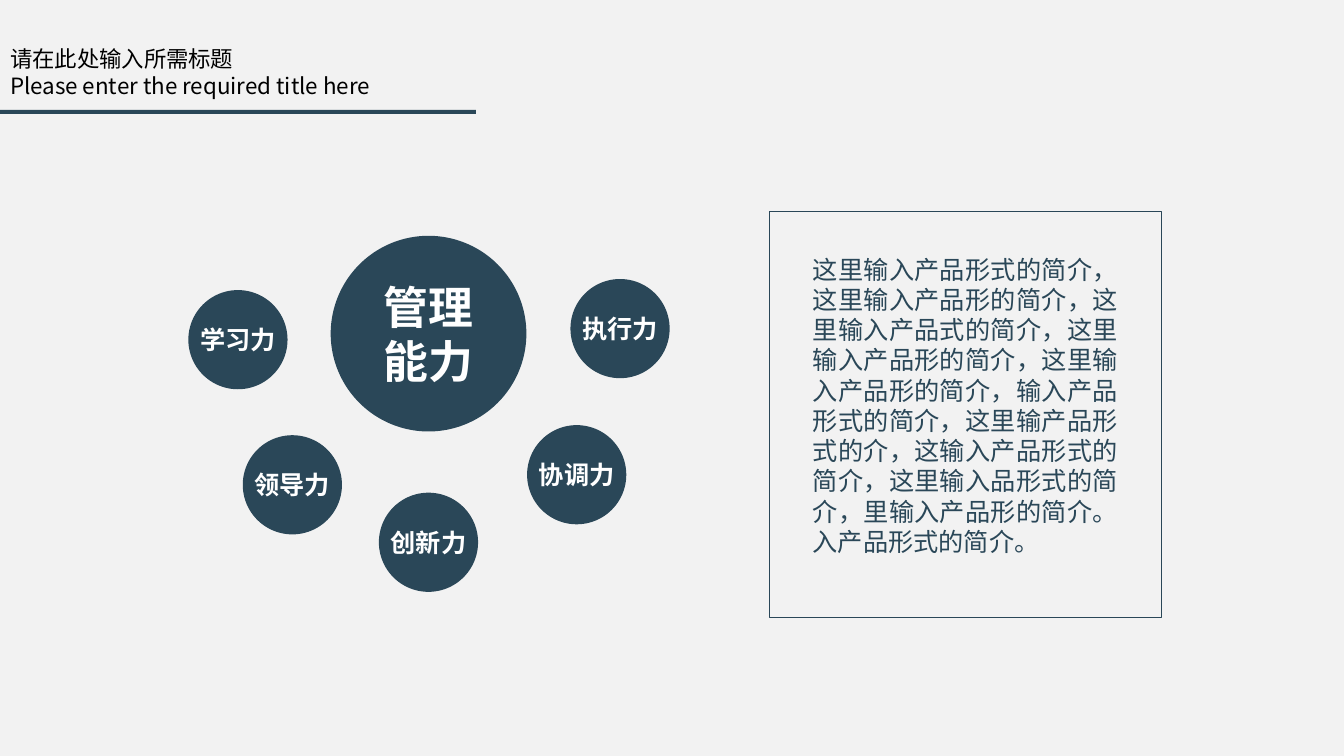
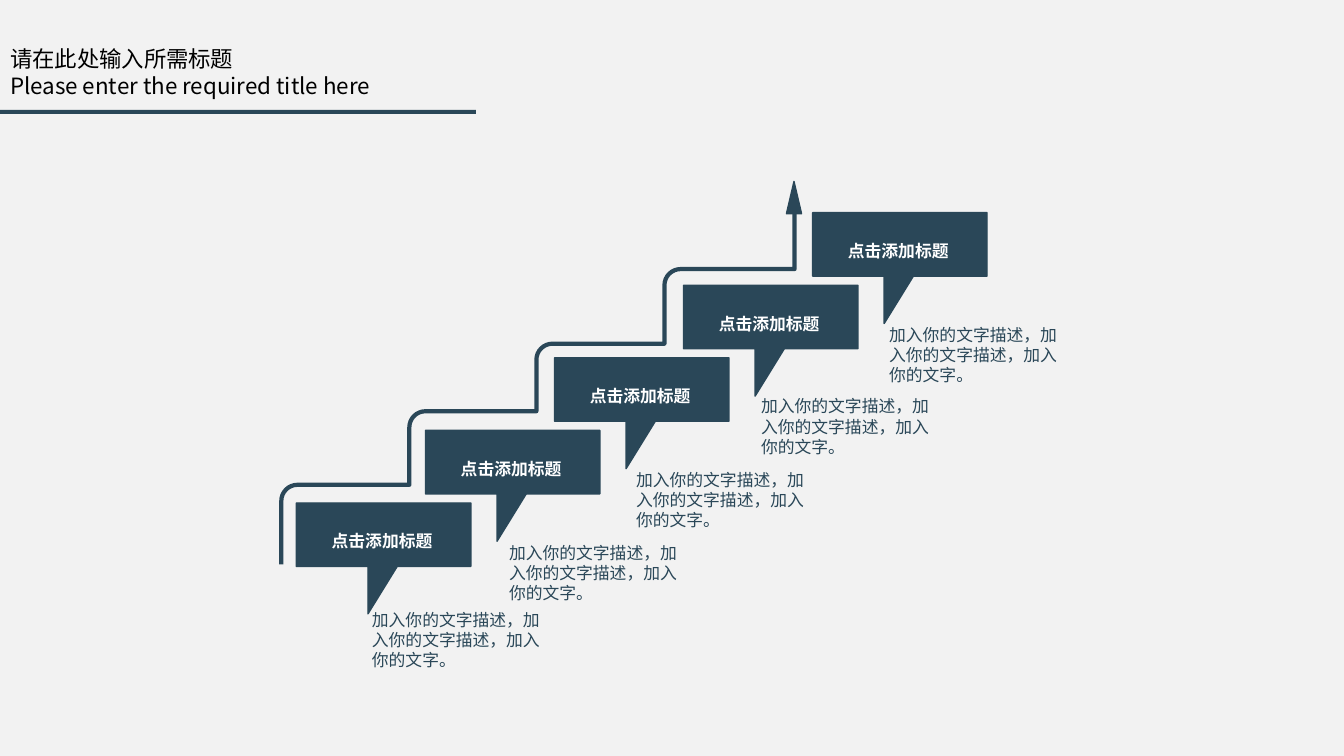
from dataclasses import dataclass
from math import cos, pi, sin

from lxml.etree import SubElement
from pptx import Presentation
from pptx.dml.color import RGBColor
from pptx.enum.shapes import MSO_SHAPE as SHAPE
from pptx.enum.text import MSO_ANCHOR as ANCHOR, MSO_AUTO_SIZE as FIT, PP_ALIGN as ALIGN
from pptx.oxml.ns import qn
from pptx.util import Inches, Pt


@dataclass(frozen=True)
class Theme:
    font: str = "Noto Sans CJK SC"
    back: RGBColor = RGBColor(0xF2, 0xF2, 0xF2)
    navy: RGBColor = RGBColor(0x2A, 0x47, 0x58)
    white: RGBColor = RGBColor(0xFF, 0xFF, 0xFF)
    black: RGBColor = RGBColor(0, 0, 0)
    hub: int = 32
    body: int = 18
    title: int = 16
    small: int = 12


T = Theme()

TITLE = ["请在此处输入所需标题", "Please enter the required title here"]

HUB = ("管理能力", 4.25, 3.31, 1.92)  # text, centre x, centre y, diameter
SKILL_SIZE = 0.97
SKILLS = [
    ("执行力", 6.15, 3.26),
    ("协调力", 5.72, 4.71),
    ("创新力", 4.25, 5.38),
    ("领导力", 2.9, 4.81),
    ("学习力", 2.36, 3.37),
]
INTRO = (
    "这里输入产品形式的简介，这里输入产品形的简介，这里输入产品式的简介，"
    "这里输入产品形的简介，这里输入产品形的简介，输入产品形式的简介，"
    "这里输产品形式的介，这输入产品形式的简介，这里输入品形式的简介，"
    "里输入产品形的简介。入产品形式的简介。"
)

STEP_TITLE = "点击添加标题"
STEP_TEXT = "加入你的文字描述，加入你的文字描述，加入你的文字。"
STEP_TOP_LEFT = (8.06, 2.11)  # highest callout
STEP_SHIFT = (-1.28, 0.72)
STEP_TEXT_AT = [(8.72, 3.22), (7.45, 3.93), (6.21, 4.66), (4.95, 5.38), (3.59, 6.05)]
CALLOUT = [(0, 0), (1.73, 0), (1.73, 0.63), (1, 0.63), (0.71, 1.1), (0.71, 0.63), (0, 0.63)]

STAIR_START = (2.79, 5.6)
STAIR_CORNERS = [(2.79, 4.81), (4.06, 4.08), (5.32, 3.41), (6.59, 2.67)]
STAIR_END = (7.88, 2)
STAIR_RADIUS = 0.16


def write(tf, lines, size, color, bold=False, align=ALIGN.LEFT, anchor=ANCHOR.TOP,
          insets=(0, 0, 0, 0), wrap=True):
    """Fill a text frame, one paragraph a line; insets are left, top, right, bottom."""
    tf.auto_size, tf.word_wrap, tf.vertical_anchor = FIT.NONE, wrap, anchor
    (tf.margin_left, tf.margin_top,
     tf.margin_right, tf.margin_bottom) = (Inches(v) for v in insets)
    for i, line in enumerate(lines):
        p = tf.add_paragraph() if i else tf.paragraphs[0]
        p.alignment, p.line_spacing = align, 1.0
        p.space_before = p.space_after = Pt(0)
        r = p.add_run()
        r.text = line
        f = r.font
        f.name, f.size, f.bold, f.color.rgb = T.font, Pt(size), bold, color
        SubElement(f._element, qn("a:ea"), typeface=T.font)


def paint(sp, fill=T.navy, line=1):
    sp.shadow.inherit = False
    if fill is None:
        sp.fill.background()
    else:
        sp.fill.solid()
        sp.fill.fore_color.rgb = fill
    if line:
        sp.line.color.rgb, sp.line.width = T.navy, Pt(line)
    else:
        sp.line.fill.background()
    return sp


def add_shape(s, kind, x, y, w, h, **style):
    box = (Inches(v) for v in (x, y, w, h))
    return paint(s.shapes.add_shape(kind, *box), **style)


def add_outline(s, points, close, **style):
    pts = [(Inches(x), Inches(y)) for x, y in points]
    fb = s.shapes.build_freeform(*pts[0])
    fb.add_line_segments(pts[1:], close=close)
    return paint(fb.convert_to_shape(), **style)


def add_circle(s, text, cx, cy, d, size, line, **layout):
    sp = add_shape(s, SHAPE.OVAL, cx - d / 2, cy - d / 2, d, d, line=line)
    write(sp.text_frame, [text], size, T.white, bold=True,
          align=ALIGN.CENTER, anchor=ANCHOR.MIDDLE, **layout)


def new_slide(prs):
    s = prs.slides.add_slide(prs.slide_layouts[5])
    title = s.shapes.title
    title.left, title.top = Inches(0), Inches(0.4)
    title.width, title.height = Inches(4.33), Inches(0.63)
    write(title.text_frame, TITLE, T.title, T.black, insets=(0.1, 0.05, 0.1, 0.05))
    add_shape(s, SHAPE.RECTANGLE, 0, 1.09, 4.72, 0.04, line=0)
    return s


def skills_slide(prs):
    s = new_slide(prs)
    add_circle(s, *HUB, size=T.hub, line=1.5, insets=(0.1, 0, 0.1, 0))
    for skill in SKILLS:
        add_circle(s, *skill, SKILL_SIZE, size=T.body, line=1, wrap=False)
    frame = add_shape(s, SHAPE.RECTANGLE, 7.63, 2.1, 3.89, 4.03, fill=None, line=0.75)
    write(frame.text_frame, [INTRO], T.body, T.navy, align=ALIGN.JUSTIFY,
          insets=(0.43, 0.42, 0.43, 0.1))


def stair_points():
    """Risers and treads, each outer corner rounded by a quarter circle."""
    points, r, parts = [STAIR_START], STAIR_RADIUS, 8
    nexts = STAIR_CORNERS[1:] + [STAIR_END]
    for (x, y), (next_x, _) in zip(STAIR_CORNERS, nexts):
        for i in range(parts + 1):
            a = pi / 2 * i / parts
            points.append((x + r - r * cos(a), y + r - r * sin(a)))
        points.append((next_x, y))
    return points + [STAIR_END]


def steps_slide(prs):
    s = new_slide(prs)
    add_outline(s, stair_points(), False, fill=None, line=3)
    add_shape(s, SHAPE.ISOSCELES_TRIANGLE, 7.8, 1.8, 0.15, 0.32)
    for i, (text_x, text_y) in enumerate(STEP_TEXT_AT):
        left, top = (a + i * d for a, d in zip(STEP_TOP_LEFT, STEP_SHIFT))
        callout = add_outline(s, [(left + x, top + y) for x, y in CALLOUT], True)
        write(callout.text_frame, [STEP_TITLE], T.small, T.white, bold=True,
              align=ALIGN.CENTER, insets=(0, 0.28, 0.03, 0))
        box = s.shapes.add_textbox(Inches(text_x), Inches(text_y), Inches(1.89), Inches(0.6))
        write(box.text_frame, [STEP_TEXT], T.small, T.navy, insets=(0.1, 0, 0.1, 0))


def main():
    prs = Presentation()
    prs.slide_width, prs.slide_height = Inches(13.33), Inches(7.5)
    back = prs.slide_master.background.fill
    back.solid()
    back.fore_color.rgb = T.back
    skills_slide(prs)
    steps_slide(prs)
    prs.save("out.pptx")


if __name__ == "__main__":
    main()
